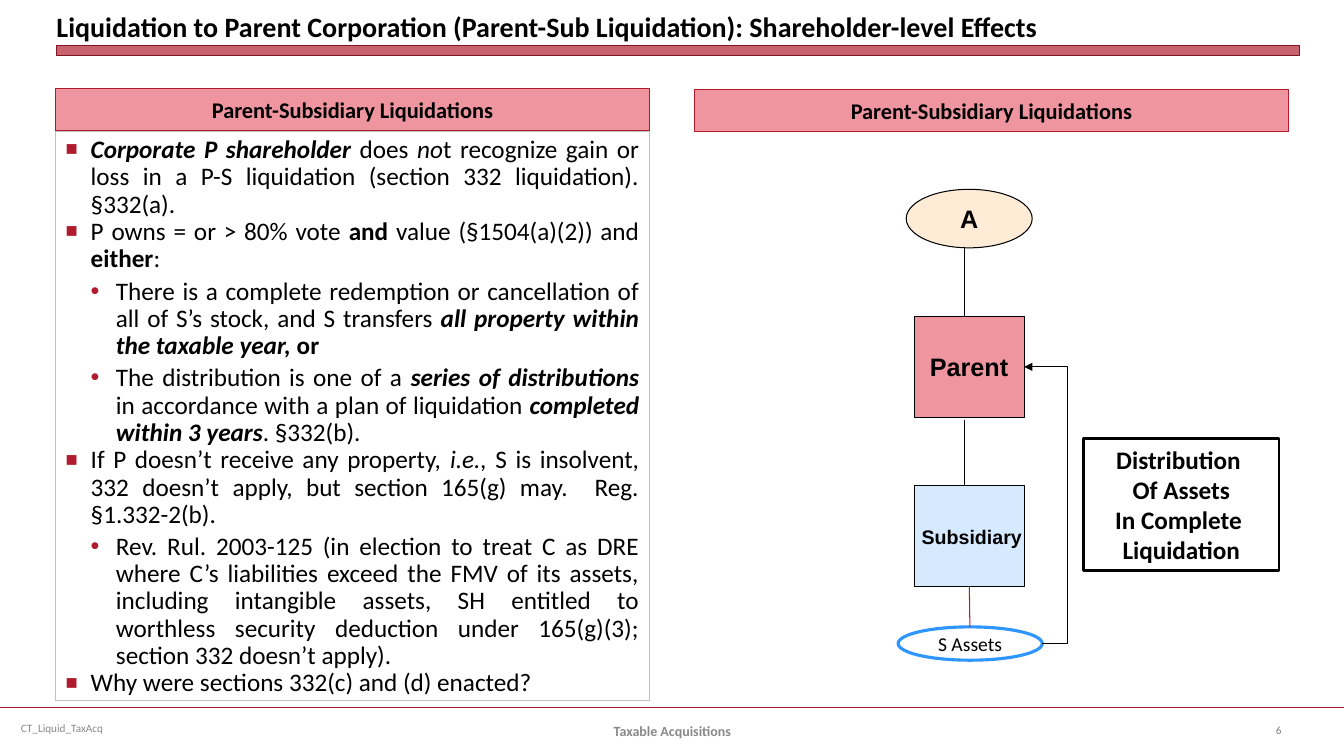
from lxml import etree
from pptx import Presentation
from pptx.dml.color import RGBColor
from pptx.enum.shapes import MSO_CONNECTOR, MSO_SHAPE
from pptx.enum.text import MSO_ANCHOR, MSO_AUTO_SIZE, PP_ALIGN
from pptx.oxml.ns import qn
from pptx.util import Pt

RECT, OVAL = MSO_SHAPE.RECTANGLE, MSO_SHAPE.OVAL
STRAIGHT, ELBOW = MSO_CONNECTOR.STRAIGHT, MSO_CONNECTOR.ELBOW
TOP, MIDDLE, BOTTOM = MSO_ANCHOR.TOP, MSO_ANCHOR.MIDDLE, MSO_ANCHOR.BOTTOM
LEFT, CENTER, JUSTIFY = PP_ALIGN.LEFT, PP_ALIGN.CENTER, PP_ALIGN.JUSTIFY
NO_AUTOFIT = MSO_AUTO_SIZE.NONE
COMPARISON_LAYOUT = 3 + 1

COLORS = {
    "black": "000000", "white": "FFFFFF", "crimson": "B01C2E", "maroon": "821522",
    "pink": "EE95A0", "silver": "C0C0C0", "cream": "FFEBD6", "sky": "D6EAFF",
    "blue": "3096FF", "footer": "898989", "page": "808080",
}

TITLE = ("Liquidation to Parent Corporation (Parent-Sub Liquidation): "
         "Shareholder-level Effects")
HEADING = "Parent-Subsidiary Liquidations"

# Each rule: outline level, then runs of (text, style), where b is bold and i italic.
RULES = [
    (0, [("Corporate P shareholder", "bi"), (" does ", ""), ("no", "i"),
         ("t recognize gain or loss in a P-S liquidation (section 332 liquidation). "
          "§332(a).", "")]),
    (0, [("P owns = or > 80% vote ", ""), ("and", "b"),
         (" value (§1504(a)(2)) and ", ""), ("either", "b"), (":", "")]),
    (1, [("There is a complete redemption or cancellation of all of S’s stock, "
          "and S transfers ", ""),
         ("all property within the taxable year, ", "bi"), ("or", "b")]),
    (1, [("The distribution is one of a ", ""), ("series of distributions ", "bi"),
         ("in accordance with a plan of liquidation ", ""),
         ("completed within 3 years", "bi"), (". §332(b).", "")]),
    (0, [("If P doesn’t receive any property, ", ""), ("i.e.,", "i"),
         (" S is insolvent, 332 doesn’t apply, but section 165(g) may.  "
          "Reg. §1.332-2(b).", "")]),
    (1, [("Rev. Rul. 2003-125 (in election to treat C as DRE where C’s liabilities "
          "exceed the FMV of its assets, including intangible assets, SH entitled to "
          "worthless security deduction under 165(g)(3); section 332 doesn’t apply).",
          "")]),
    (0, [("Why were sections 332(c) and (d) enacted?", "")]),
]
# Bullet character, its size in percent, and space before the paragraph, by level.
BULLETS = [("■", 80, 0.2), ("•", 100, 3.6)]


def rgb(color):
    return RGBColor.from_string(COLORS[color])


def place(shape, left, top, width, height):
    shape.left, shape.top = Pt(left), Pt(top)
    shape.width, shape.height = Pt(width), Pt(height)


def paint(shape, fill, line, weight):
    if fill:
        shape.fill.solid()
        shape.fill.fore_color.rgb = rgb(fill)
    else:
        shape.fill.background()
    shape.line.color.rgb = rgb(line)
    shape.line.width = Pt(weight)


def style_font(font, size, color="black", bold=False, italic=False, face="Calibri"):
    font.name, font.size = face, Pt(size)
    font.bold, font.italic = bold, italic
    font.color.rgb = rgb(color)


def set_frame(shape, anchor, wrap=True):
    frame = shape.text_frame
    frame.auto_size = NO_AUTOFIT
    frame.word_wrap = wrap
    frame.vertical_anchor = anchor
    return frame


def write(shape, text, size, align=CENTER, anchor=MIDDLE, wrap=True, **font):
    frame = set_frame(shape, anchor, wrap)
    frame.text = text
    for paragraph in frame.paragraphs:
        paragraph.alignment = align
        paragraph.space_before = Pt(0)
        for run in paragraph.runs:
            style_font(run.font, size, **font)


def add_label(slide, box, text, size, **style):
    label = slide.shapes.add_textbox(*map(Pt, box))
    write(label, text, size, **style)


def add_block(slide, kind, box, fill, line, weight=0.75):
    block = slide.shapes.add_shape(kind, *map(Pt, box))
    block.shadow.inherit = False
    paint(block, fill, line, weight)
    return block


def add_line(slide, kind, ends, color="black", weight=0.75):
    link = slide.shapes.add_connector(kind, *map(Pt, ends))
    link.line.color.rgb = rgb(color)
    link.line.width = Pt(weight)
    etree.SubElement(link._element.spPr, qn("a:effectLst"))
    return link


def add_distribution_arrow(slide):
    """Elbow that leaves the assets to the right and returns to the parent."""
    arrow = add_line(slide, ELBOW, (744.5, 459.4, 731.5, 262.1))
    bend = arrow._element.spPr.find(qn("a:prstGeom")).get_or_add_avLst()
    etree.SubElement(bend, qn("a:gd"), name="adj1", fmla="val -137700")
    etree.SubElement(arrow.line._get_or_add_ln(), qn("a:tailEnd"), type="triangle")


def add_bullet(paragraph, level):
    char, percent, _ = BULLETS[level]
    props = paragraph._p.get_or_add_pPr()
    props.set("marL", str(Pt(18 * (level + 1))))
    props.set("indent", str(Pt(-18)))
    tint = etree.SubElement(props, qn("a:buClr"))
    etree.SubElement(tint, qn("a:srgbClr"), val=COLORS["crimson"])
    etree.SubElement(props, qn("a:buSzPct"), val=str(percent * 1000))
    etree.SubElement(props, qn("a:buFont"), typeface="Arial")
    etree.SubElement(props, qn("a:buChar"), char=char)


def fill_rules(body):
    frame = set_frame(body, TOP)
    for number, (level, runs) in enumerate(RULES):
        paragraph = frame.add_paragraph() if number else frame.paragraphs[0]
        paragraph.level = level
        add_bullet(paragraph, level)
        paragraph.alignment = JUSTIFY
        paragraph.line_spacing = 0.9
        paragraph.space_before = Pt(BULLETS[level][2] if number else 0)
        for text, style in runs:
            run = paragraph.add_run()
            run.text = text
            style_font(run.font, 18, bold="b" in style, italic="i" in style)


def add_title(slide):
    title = slide.shapes.title
    place(title, 40.3, 0, 888, 31)
    write(title, TITLE, 20, align=LEFT, anchor=BOTTOM, bold=True)
    frame = title.text_frame
    frame.margin_left = frame.margin_right = Pt(0)
    frame.margin_top = frame.margin_bottom = Pt(0)

    bar = add_block(slide, RECT, (40.3, 32.2, 888, 7.2), "crimson", "maroon", 0)
    tint = bar._element.spPr.find(qn("a:solidFill"))[0]
    etree.SubElement(tint, qn("a:alpha"), val="69000")


def add_columns(slide):
    _, left_heading, rules, right_heading, spare = slide.placeholders
    for heading, left, top in ((left_heading, 39.6, 63.4), (right_heading, 496, 64)):
        place(heading, left, top, 424.5, 30.2)
        paint(heading, "pink", "crimson", 0.75)
        write(heading, HEADING, 16, bold=True)
    place(rules, 39.6, 94.2, 424.2, 406.1)
    paint(rules, "white", "silver", 0.75)
    fill_rules(rules)
    spare._element.getparent().remove(spare._element)


def add_structure(slide):
    entities = [
        (RECT, (653, 226, 78.5, 72), "pink", " Parent ", 18),
        (OVAL, (647.3, 135.2, 90, 41.8), "cream", "A", 18),
        (RECT, (653, 347, 78.5, 72), "sky", " Subsidiary", 14),
    ]
    for kind, box, fill, name, size in entities:
        entity = add_block(slide, kind, box, fill, "black")
        write(entity, name, size, wrap=False, bold=True, face="Arial")

    assets = add_block(slide, OVAL, (641.5, 447.8, 103, 23.8), None, "blue", 2.25)
    write(assets, "S Assets", 14)
    add_line(slide, STRAIGHT, (689, 225.4, 689, 177))
    add_line(slide, STRAIGHT, (689, 300.2, 689, 347))
    add_line(slide, STRAIGHT, (692.4, 419, 692.8, 447.8), "crimson")
    add_distribution_arrow(slide)

    note = add_block(slide, RECT, (774, 313.2, 139.7, 94.3), None, "black", 2)
    write(note, "Distribution \nOf Assets\nIn Complete \nLiquidation", 18, bold=True)


def add_footer(slide):
    add_line(slide, STRAIGHT, (0, 505.4, 960, 505.4), "crimson", 1.25)
    add_label(slide, (7.9, 505.4, 247.7, 28.8), "CT_Liquid_TaxAcq", 8,
              align=LEFT, color="footer")
    add_label(slide, (328.3, 507.6, 303.8, 28.8), "Taxable Acquisitions", 10,
              color="footer", bold=True)
    add_label(slide, (904.3, 506.9, 48.2, 28.8), "6", 8, align=LEFT, color="page")


def main():
    deck = Presentation()
    deck.slide_width, deck.slide_height = Pt(960), Pt(540)
    slide = deck.slides.add_slide(deck.slide_layouts[COMPARISON_LAYOUT])
    add_title(slide)
    add_columns(slide)
    add_structure(slide)
    add_footer(slide)
    deck.save("out.pptx")


if __name__ == "__main__":
    main()
